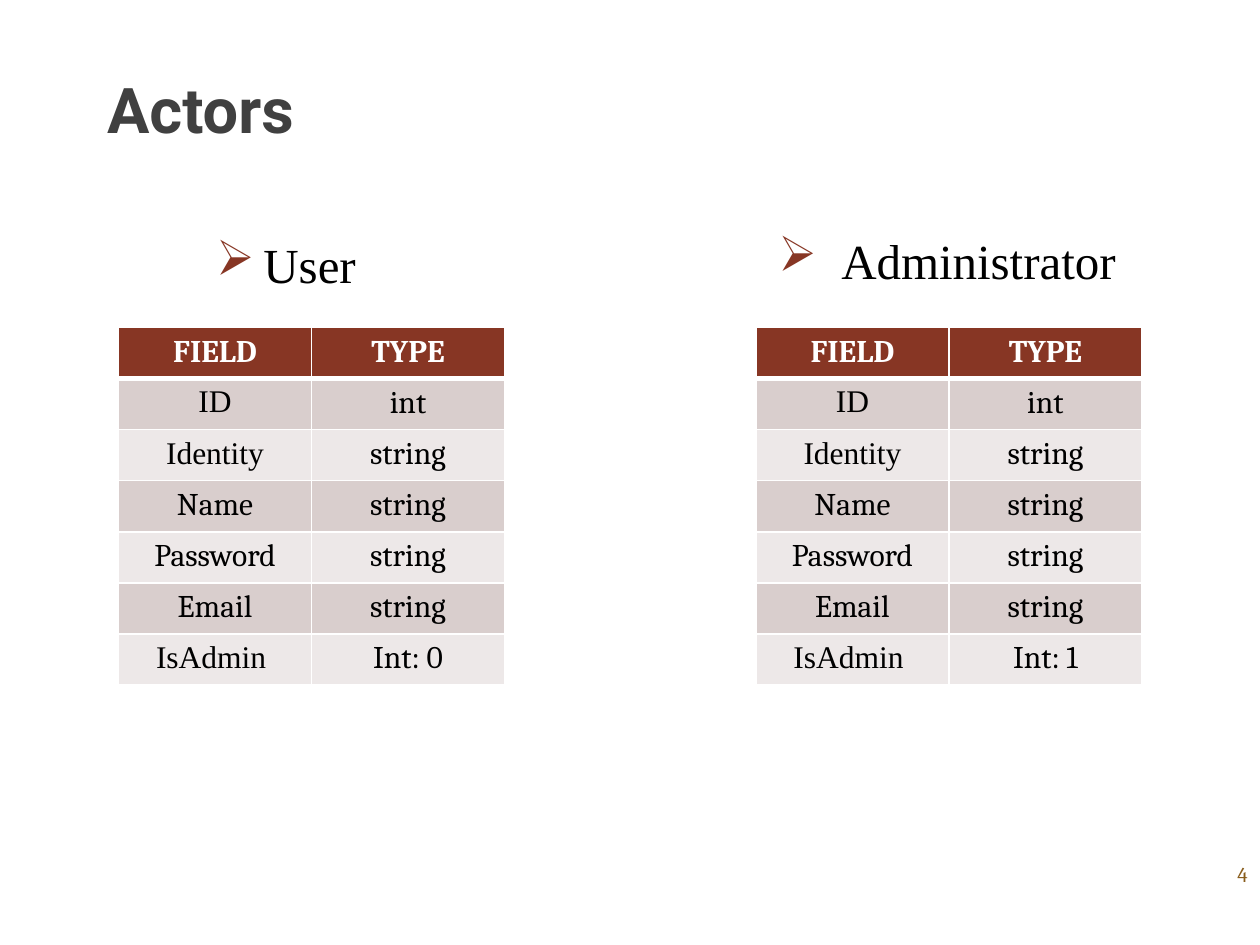
from lxml.etree import SubElement
from pptx import Presentation
from pptx.dml.color import RGBColor
from pptx.enum.text import MSO_ANCHOR as Anchor, MSO_AUTO_SIZE as AutoSize, PP_ALIGN as Align
from pptx.oxml.ns import qn
from pptx.util import Cm, Pt

WHITE = RGBColor(0xFF, 0xFF, 0xFF)
BLACK = RGBColor(0, 0, 0)
CHARCOAL = RGBColor(0x40, 0x40, 0x40)
OCHRE = RGBColor(0x89, 0x5D, 0x1D)
RUST = RGBColor(0x87, 0x36, 0x24)
BANDS = (RGBColor(0xD9, 0xCE, 0xCD), RGBColor(0xED, 0xE8, 0xE8))

SERIF = "Times New Roman"
TABLE_FONT = "Cambria"
FIELDS = (
    ("FIELD", "TYPE"),
    ("ID", "int"),
    ("Identity", "string"),
    ("Name", "string"),
    ("Password", "string"),
    ("Email", "string"),
)
SERIF_FIELDS = ("ID", "Identity", "IsAdmin ")
TABLE_TOP = 6.6
COLUMN_WIDTH = 3.89
ROW_HEIGHT = 1.03


class SlideBuilder:
    def __init__(self, slide):
        self.slide = slide
        self.heading = {"size": Pt(28), "name": SERIF, "bold": False}

    def format_font(self, font, color, values):
        for name, value in values.items():
            setattr(font, name, value)
        font.color.rgb = color

    def add_text(self, text, box, color, values, align=Align.LEFT,
                 anchor=Anchor.TOP, wrap=True):
        shape = self.slide.shapes.add_textbox(*map(Cm, box))
        frame = shape.text_frame
        frame.word_wrap = wrap
        frame.vertical_anchor = anchor
        paragraph = frame.paragraphs[0]
        paragraph.alignment = align
        run = paragraph.add_run()
        run.text = text
        self.format_font(run.font, color, values)
        return shape

    def add_heading(self, text, box, indent, wrap=True):
        shape = self.add_text(text, box, BLACK, self.heading, wrap=wrap)
        if not wrap:
            shape.text_frame.auto_size = AutoSize.SHAPE_TO_FIT_TEXT
        properties = shape.text_frame.paragraphs[0]._p.get_or_add_pPr()
        properties.set("marL", str(Cm(indent)))
        properties.set("indent", str(-Cm(indent)))
        bullet_color = SubElement(properties, qn("a:buClr"))
        SubElement(bullet_color, qn("a:srgbClr"), val=str(RUST))
        SubElement(properties, qn("a:buChar"), char="➢")

    def add_borders(self, cell, widths):
        properties = cell._tc.get_or_add_tcPr()
        for side, width in widths.items():
            line = SubElement(properties, qn(f"a:ln{side}"), w=str(Pt(width)))
            fill = SubElement(line, qn("a:solidFill"))
            SubElement(fill, qn("a:srgbClr"), val=str(WHITE))

    def add_field_table(self, left, rows):
        columns = len(rows[0])
        table = self.slide.shapes.add_table(
            len(rows), columns, Cm(left), Cm(TABLE_TOP),
            Cm(COLUMN_WIDTH * columns), Cm(ROW_HEIGHT * len(rows))).table
        for column in table.columns:
            column.width = Cm(COLUMN_WIDTH)
        for index, texts in enumerate(rows):
            table.rows[index].height = Cm(ROW_HEIGHT)
            header = index == 0
            widths = {"L": 1, "R": 1, "T": 3 if index == 1 else 1, "B": 3 if header else 1}
            for position, text in enumerate(texts):
                cell = table.cell(index, position)
                self.add_borders(cell, widths)
                cell.fill.solid()
                cell.fill.fore_color.rgb = RUST if header else BANDS[(index - 1) % 2]
                paragraph = cell.text_frame.paragraphs[0]
                paragraph.alignment = Align.CENTER
                run = paragraph.add_run()
                run.text = text
                font = SERIF if text in SERIF_FIELDS else TABLE_FONT
                self.format_font(run.font, WHITE if header else BLACK,
                                 {"size": Pt(18), "name": font, "bold": header})


def main():
    presentation = Presentation()
    presentation.slide_width = Cm(25.4)
    presentation.slide_height = Cm(19.05)
    builder = SlideBuilder(presentation.slides.add_slide(presentation.slide_layouts[6]))

    builder.add_text("Actors", (1.91, 1.3, 21.54, 2.92), CHARCOAL,
                     {"size": Pt(36), "name": "Roboto", "bold": True})
    builder.add_text("4", (19.48, 17.12, 5.92, 1.02), OCHRE,
                     {"size": Pt(12), "name": TABLE_FONT}, Align.RIGHT, Anchor.MIDDLE)
    builder.add_heading("User", (4.11, 4.6, 4.32, 1.3), 0.95)
    builder.add_field_table(2.39, FIELDS + (("IsAdmin ", "Int: 0"),))
    builder.add_heading("Administrator", (15.44, 4.52, 7.39, 1.45), 1.27, wrap=False)
    builder.add_field_table(15.24, FIELDS + (("IsAdmin ", "Int: 1"),))

    presentation.save("out.pptx")


if __name__ == "__main__":
    main()
